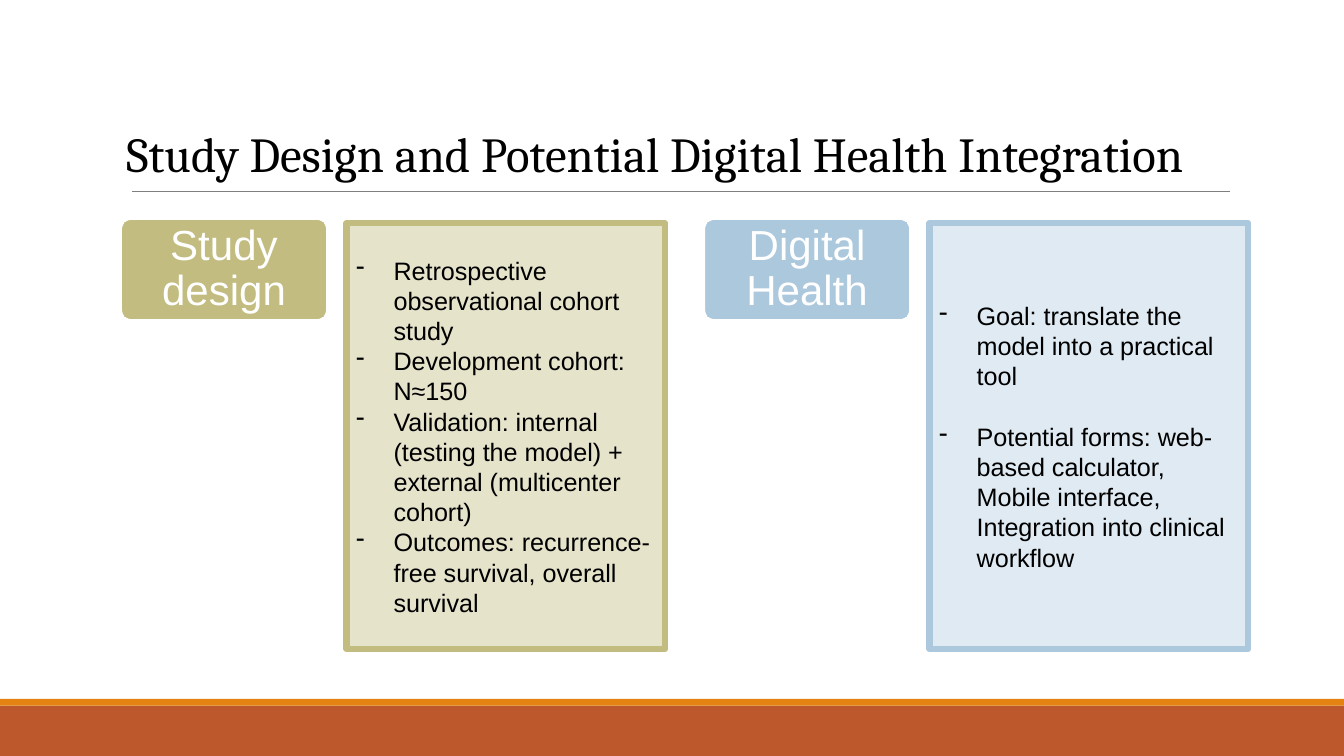
import pptx
import pptx.util
import pptx.dml.color
import pptx.enum.shapes
import pptx.enum.text
import pptx.oxml.ns
from lxml import etree

Cm, Pt = pptx.util.Cm, pptx.util.Pt
SHAPE = pptx.enum.shapes.MSO_SHAPE
ANCHOR = pptx.enum.text.MSO_ANCHOR
ALIGN = pptx.enum.text.PP_ALIGN
qn = pptx.oxml.ns.qn

COLORS = {
    "black": "000000", "white": "FFFFFF", "rule": "7F7F7F",
    "footer": "BD582C", "stripe": "E48312",
    "olive": "C2BC80", "olive_light": "E6E3CB",
    "blue": "ACC8DD", "blue_light": "CCDDEA",
}
TITLE = "Study Design and Potential Digital Health Integration"
PANELS = [
    {"label": "Study design", "main": "olive", "light": "olive_light",
     "alpha": 100, "gap": 0, "items": [
         "Retrospective observational cohort study",
         "Development cohort: N≈150",
         "Validation: internal (testing the model) + external (multicenter cohort)",
         "Outcomes: recurrence-free survival, overall survival"]},
    {"label": "Digital Health", "main": "blue", "light": "blue_light",
     "alpha": 61, "gap": 16.2, "items": [
         "Goal: translate the model into a practical tool",
         "Potential forms: web-based calculator, Mobile interface, "
         "Integration into clinical workflow"]},
]
BANDS = [("footer", 13.34, 0.95), ("stripe", 13.21, 0.13)]
WIDTH, HEIGHT = 25.4, 14.29
LEFT, PITCH = 2.29, 11.02
INDENT = 0.71


def rgb(name):
    return pptx.dml.color.RGBColor.from_string(COLORS[name])


def add_box(s, kind, box, fill, line=None, weight=0):
    sp = s.shapes.add_shape(kind, *map(Cm, box))
    sp.shadow.inherit = False
    sp.fill.solid()
    sp.fill.fore_color.rgb = rgb(fill)
    if line:
        sp.line.color.rgb = rgb(line)
        sp.line.width = Pt(weight)
    else:
        sp.line.fill.background()
    return sp


def set_frame(tf, anchor, side):
    tf.word_wrap = True
    tf.vertical_anchor = anchor
    tf.margin_left = tf.margin_right = Cm(side)
    tf.margin_top = tf.margin_bottom = Cm(0.1)


def set_text(p, text, font, size, color, align=ALIGN.LEFT, spacing=None):
    p.text = text
    p.alignment = align
    p.line_spacing = spacing
    p.font.name = font
    p.font.size = Pt(size)
    p.font.color.rgb = rgb(color)


def set_bullet(p):
    pPr = p._p.get_or_add_pPr()
    pPr.set("marL", str(Cm(INDENT)))
    pPr.set("indent", str(-Cm(INDENT)))
    bullet = etree.Element(qn("a:buChar"), char="-")
    pPr.find(qn("a:defRPr")).addprevious(bullet)


def add_panel(s, x, panel):
    body = add_box(s, SHAPE.RECTANGLE, (x + 4.26, 4.22, 6.02, 8.05),
                   panel["light"], panel["main"], 3.38)
    if panel["alpha"] < 100:
        color = body.fill._xPr.find(".//" + qn("a:srgbClr"))
        etree.SubElement(color, qn("a:alpha"), val=str(panel["alpha"] * 1000))
    tf = body.text_frame
    set_frame(tf, ANCHOR.MIDDLE, 0.18)
    for i, item in enumerate(panel["items"]):
        p = tf.add_paragraph() if i else tf.paragraphs[0]
        set_text(p, item, "Arial", 13.5, "black")
        p.space_before = Pt(panel["gap"] if i else 0)
        set_bullet(p)

    tab = add_box(s, SHAPE.ROUNDED_RECTANGLE, (x, 4.14, 3.89, 1.91),
                  panel["main"], "white", 0.94)
    tab.adjustments[0] = 0.1
    label = add_box(s, SHAPE.RECTANGLE, (x + 0.06, 4.2, 3.77, 1.79), panel["main"])
    set_frame(label.text_frame, ANCHOR.MIDDLE, 0.13)
    set_text(label.text_frame.paragraphs[0], panel["label"], "Arial", 22.5,
             "white", ALIGN.CENTER, 0.9)


def main():
    prs = pptx.Presentation()
    prs.slide_width, prs.slide_height = Cm(WIDTH), Cm(HEIGHT)
    s = prs.slides.add_slide(prs.slide_layouts[5])

    for color, top, height in BANDS:
        add_box(s, SHAPE.RECTANGLE, (0, top, WIDTH, height), color)
    rule = s.shapes.add_connector(pptx.enum.shapes.MSO_CONNECTOR.STRAIGHT,
                                  Cm(2.49), Cm(3.62), Cm(23.24), Cm(3.62))
    rule.line.color.rgb = rgb("rule")
    rule.line.width = Pt(0.56)
    etree.SubElement(rule._element.spPr, qn("a:effectLst"))

    title = s.shapes.title
    title.left, title.top, title.width, title.height = map(Cm, (LEFT, 1.83, 22.28, 1.73))
    set_frame(title.text_frame, ANCHOR.BOTTOM, 0.1)
    set_text(title.text_frame.paragraphs[0], TITLE, "Cambria", 26.2, "black",
             spacing=0.85)

    for i, panel in enumerate(PANELS):
        add_panel(s, LEFT + i * PITCH, panel)
    prs.save("out.pptx")


if __name__ == "__main__":
    main()
